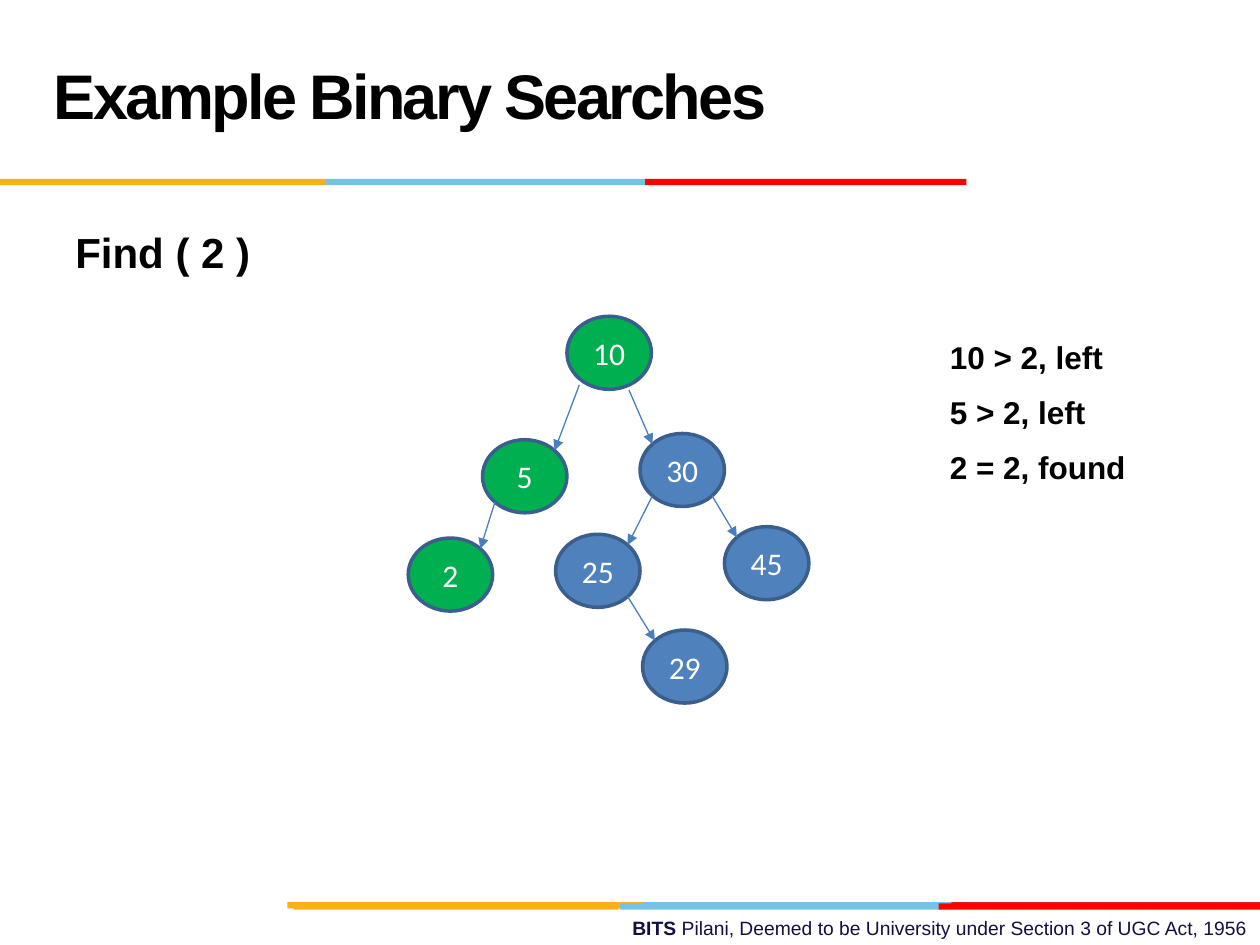
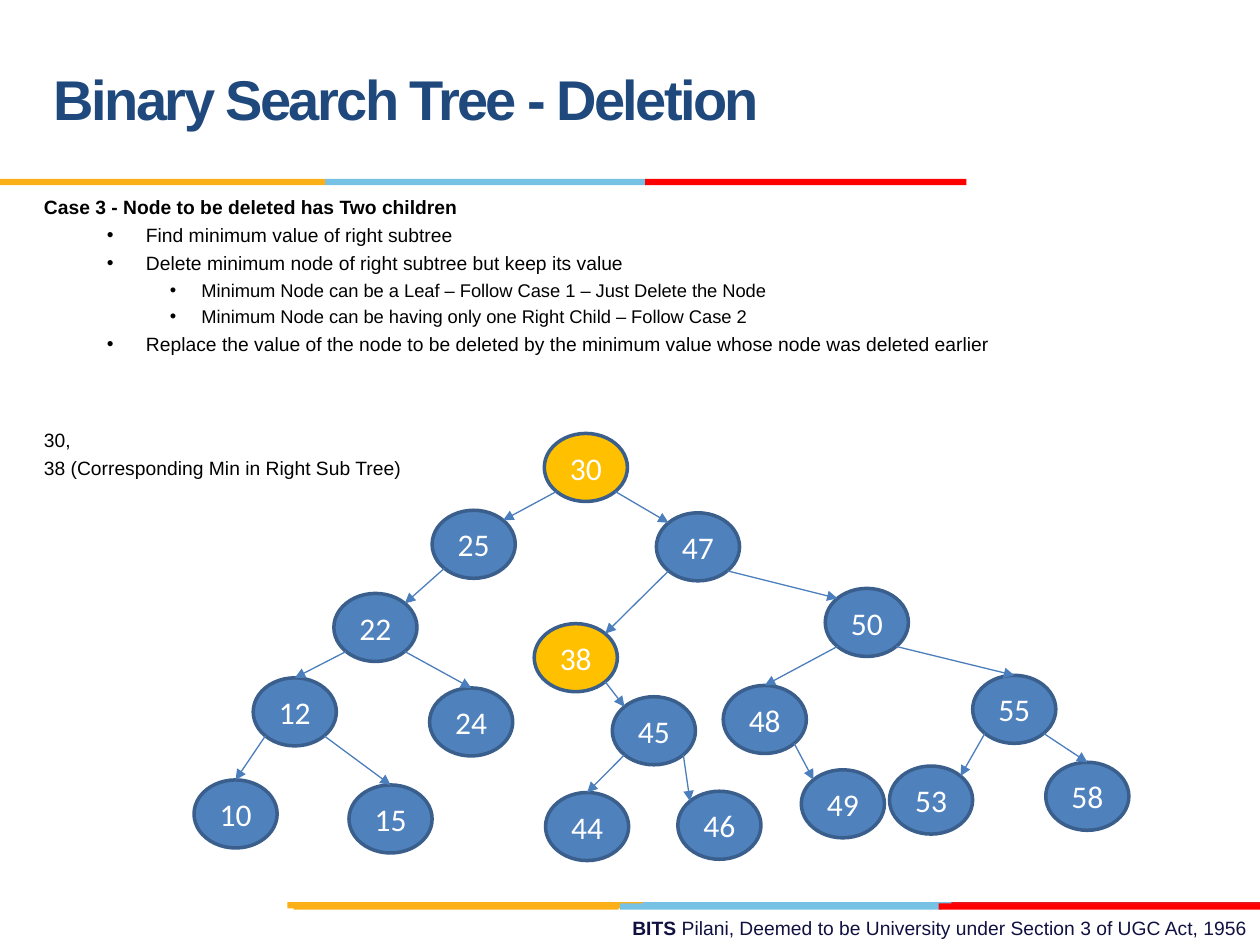
from lxml.etree import SubElement
from pptx import Presentation
from pptx.dml.color import RGBColor
from pptx.enum.shapes import MSO_CONNECTOR as Connector, MSO_SHAPE as Shape
from pptx.enum.text import MSO_ANCHOR as Anchor, PP_ALIGN as Align
from pptx.oxml.ns import qn
from pptx.util import Inches, Pt

COLORS = {
    "black": "000000", "white": "FFFFFF", "title blue": "1F497D", "navy": "101141",
    "amber": "FCB017", "sky": "76C2E5", "crimson": "E31C24", "red": "FF0000",
    "node": "4F81BD", "node line": "3A5F8C", "edge": "4B7EBC",
    "visited": "00B050", "affected": "FFC000",
}
BANDS = [
    (5.06, 7.16, 2.55, "sky"), (7.55, 7.16, 2.45, "crimson"), (2.28, 7.16, 2.82, "amber"),
    (4.92, 7.17, 2.55, "sky"), (2.33, 7.17, 2.58, "amber"), (7.45, 7.17, 2.55, "red"),
    (2.58, 1.42, 2.55, "sky"), (0, 1.42, 2.58, "amber"), (5.12, 1.42, 2.55, "red"),
]
BAND_HEIGHT = 0.05
DIAGONAL_INSET = 0.1464
BULLET_INDENTS = {1: (0.81, -0.31), 2: (1.25, -0.25)}


def color(name):
    return RGBColor.from_string(COLORS[name])


def add_text(paragraph, text, size=11, font="Arial", fill="black", bold=False, spacing=None):
    run = paragraph.add_run()
    run.text = text
    run.font.size = Pt(size)
    run.font.name = font
    run.font.bold = bold
    run.font.color.rgb = color(fill)
    if spacing is not None:
        run._r.get_or_add_rPr().set("spc", str(round(spacing * 100)))


def add_bullet(paragraph, level):
    margin, indent = BULLET_INDENTS[level]
    properties = paragraph._p.get_or_add_pPr()
    properties.set("marL", str(Inches(margin)))
    properties.set("indent", str(Inches(indent)))
    SubElement(properties, qn("a:buFont")).set("typeface", "Arial")
    SubElement(properties, qn("a:buChar")).set("char", "•")


class Deck:
    def __init__(self):
        self.presentation = Presentation()
        self.presentation.slide_width = Inches(10)
        self.presentation.slide_height = Inches(7.5)
        self.slide = None

    def add_slide(self, title, size, fill):
        self.slide = self.presentation.slides.add_slide(self.presentation.slide_layouts[6])
        footer = self.text_box(3.58, 7.22, 6.42, 0.28).paragraphs[0]
        footer.alignment = Align.RIGHT
        add_text(footer, "BITS ", fill="navy", bold=True)
        add_text(footer, "Pilani, Deemed to be University under Section 3 of UGC Act, 1956",
                 fill="navy")
        for left, top, width, band_color in BANDS:
            self.shape(Shape.RECTANGLE, left, top, width, BAND_HEIGHT, band_color)
        frame = self.text_box(0.33, 0.17, 7.17, 1.25)
        frame.vertical_anchor = Anchor.MIDDLE
        frame.paragraphs[0].line_spacing = Pt(36)
        add_text(frame.paragraphs[0], title, size=size, fill=fill, bold=True, spacing=-1.5)

    def text_box(self, left, top, width, height):
        box = self.slide.shapes.add_textbox(
            Inches(left), Inches(top), Inches(width), Inches(height))
        box.text_frame.word_wrap = True
        return box.text_frame

    def text_lines(self, left, top, width, height, lines, space):
        frame = self.text_box(left, top, width, height)
        for index, (text, level, style) in enumerate(lines):
            paragraph = frame.add_paragraph() if index else frame.paragraphs[0]
            if index:
                paragraph.space_before = Pt(space)
            if level:
                add_bullet(paragraph, level)
            add_text(paragraph, text, **style)

    def shape(self, kind, left, top, width, height, fill):
        shape = self.slide.shapes.add_shape(
            kind, Inches(left), Inches(top), Inches(width), Inches(height))
        shape.shadow.inherit = False
        shape.fill.solid()
        shape.fill.fore_color.rgb = color(fill)
        shape.line.fill.background()
        return shape

    def node(self, value, left, top, width, height, fill):
        node = self.shape(Shape.FLOWCHART_CONNECTOR, left, top, width, height, fill)
        node.line.color.rgb = color("node line")
        node.line.width = Pt(2)
        frame = node.text_frame
        frame.word_wrap = False
        frame.vertical_anchor = Anchor.MIDDLE
        frame.paragraphs[0].alignment = Align.CENTER
        add_text(frame.paragraphs[0], str(value), size=18, font="Calibri", fill="white")
        return node

    def edge(self, parent, child, to_top=False, nudge=(0, 0)):
        goes_left = child.left < parent.left
        near, far = DIAGONAL_INSET, 1 - DIAGONAL_INSET
        start_share, end_share = (near, far) if goes_left else (far, near)
        start_x = parent.left + parent.width * start_share + Inches(nudge[0])
        start_y = parent.top + parent.height * far + Inches(nudge[1])
        end_x = child.left + child.width * end_share
        end_y = child.top + child.height * near
        edge = self.slide.shapes.add_connector(
            Connector.STRAIGHT, round(start_x), round(start_y), round(end_x), round(end_y))
        if to_top:
            edge.end_connect(child, 0)
        edge.line.color.rgb = color("edge")
        edge.line.width = Pt(0.75)
        SubElement(edge.line._get_or_add_ln(), qn("a:tailEnd")).set("type", "triangle")
        SubElement(edge._element.spPr, qn("a:effectLst"))

    def tree(self, positions, children, size, highlighted, highlight, top_ends=(), nudges=None):
        nodes = {
            value: self.node(value, left, top, *size,
                             highlight if value in highlighted else "node")
            for value, (left, top) in positions.items()
        }
        for parent, values in children.items():
            for child in values:
                self.edge(nodes[parent], nodes[child], child in top_ends,
                          (nudges or {}).get(child, (0, 0)))


def search_slide(deck):
    deck.add_slide("Example Binary Searches", 36, "black")
    deck.text_lines(0.5, 1.75, 9, 0.6, [("Find ( 2 )", 0, {"size": 24, "bold": True})], 0)
    steps = ["10 > 2, left", "5 > 2, left", "2 = 2, found"]
    deck.text_lines(7.44, 2.63, 2.5, 1.3,
                    [(step, 0, {"size": 18, "bold": True}) for step in steps], 9.9)
    deck.tree(
        positions={10: (4.5, 2.51), 5: (3.83, 3.49), 30: (5.08, 3.44), 2: (3.24, 4.27),
                   25: (4.41, 4.24), 45: (5.75, 4.18), 29: (5.1, 5)},
        children={10: [5, 30], 5: [2], 30: [25, 45], 25: [29]},
        size=(0.67, 0.58), highlighted=[10, 5, 2], highlight="visited",
        nudges={5: (0, 0.05), 30: (-0.08, 0.09)})


def deletion_slide(deck):
    deck.add_slide("Binary Search Tree - Deletion", 32, "title blue")
    small = {"size": 10.5}
    deck.text_lines(0.25, 1.5, 9.08, 1.51, [
        ("Case 3 - Node to be deleted has Two children", 0, {"bold": True}),
        ("Find minimum value of right subtree", 1, {}),
        ("Delete minimum node of right subtree but keep its value", 1, {}),
        ("Minimum Node can be a Leaf – Follow Case 1 – Just Delete the Node", 2, small),
        ("Minimum Node can be having only one Right Child – Follow Case 2", 2, small),
        ("Replace the value of the node to be deleted by the minimum value "
         "whose node was deleted earlier", 1, {}),
    ], 2.7)
    deck.text_lines(0.25, 3.35, 4, 0.5, [
        ("30,", 0, {}), ("38 (Corresponding Min in Right Sub Tree)", 0, {})], 2.7)
    deck.tree(
        positions={30: (4.32, 3.44), 25: (3.43, 4.05), 47: (5.21, 4.07), 22: (2.65, 4.71),
                   38: (4.24, 4.95), 50: (6.55, 4.67), 12: (2.01, 5.38), 24: (3.41, 5.46),
                   45: (4.86, 5.53), 48: (5.74, 5.44), 55: (7.72, 5.36), 10: (1.54, 6.19),
                   15: (2.77, 6.23), 44: (4.33, 6.29), 46: (5.38, 6.28), 49: (6.36, 6.11),
                   53: (7.06, 6.08), 58: (8.3, 6.05)},
        children={30: [25, 47], 25: [22], 47: [38, 50], 22: [12, 24], 38: [45],
                  50: [48, 55], 12: [10, 15], 45: [44, 46], 48: [49], 55: [53, 58]},
        size=(0.66, 0.54), highlighted=[30, 38], highlight="affected",
        top_ends=[12, 24, 48, 55, 10, 15, 44, 58])


def main():
    deck = Deck()
    search_slide(deck)
    deletion_slide(deck)
    deck.presentation.save("out.pptx")


if __name__ == "__main__":
    main()
